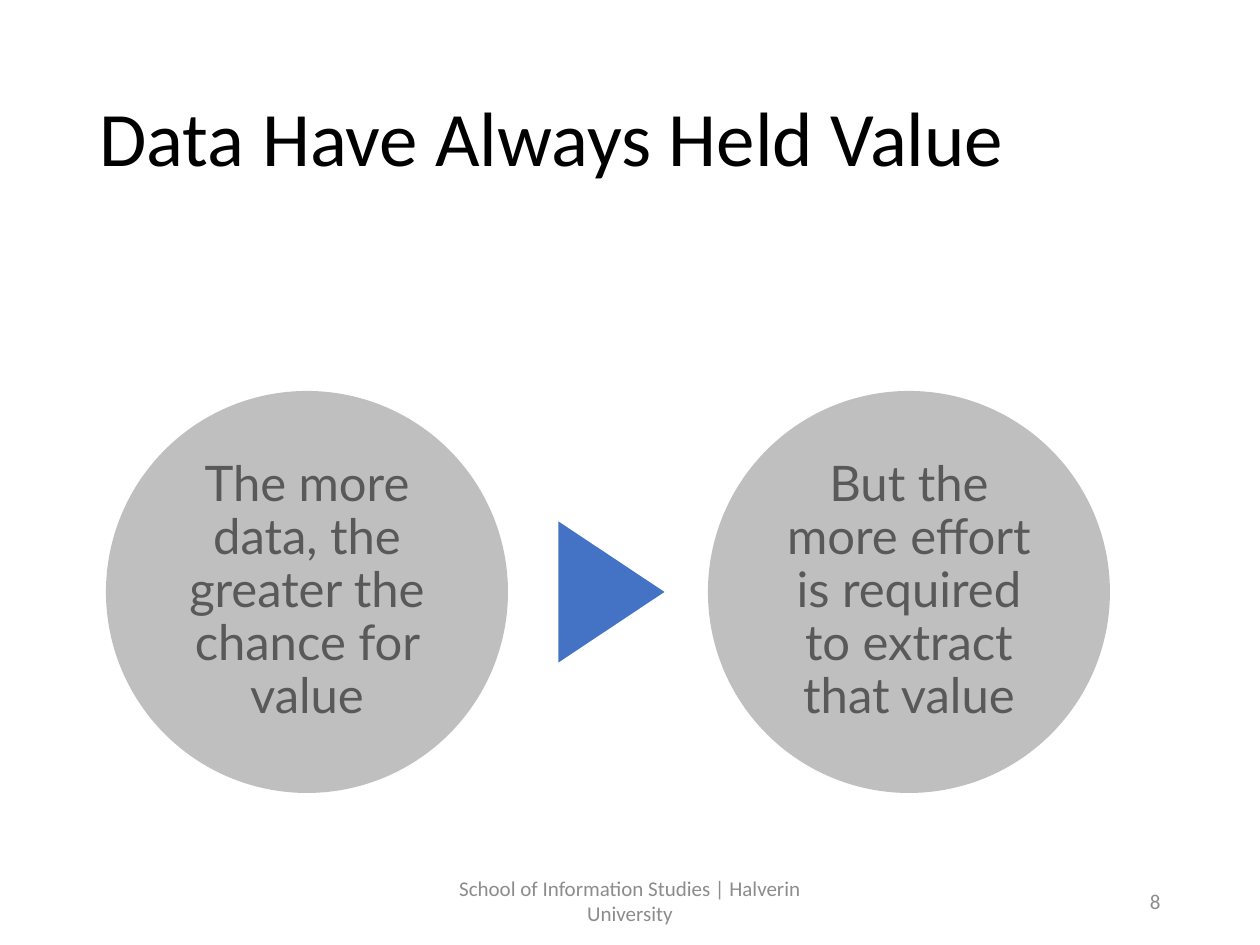
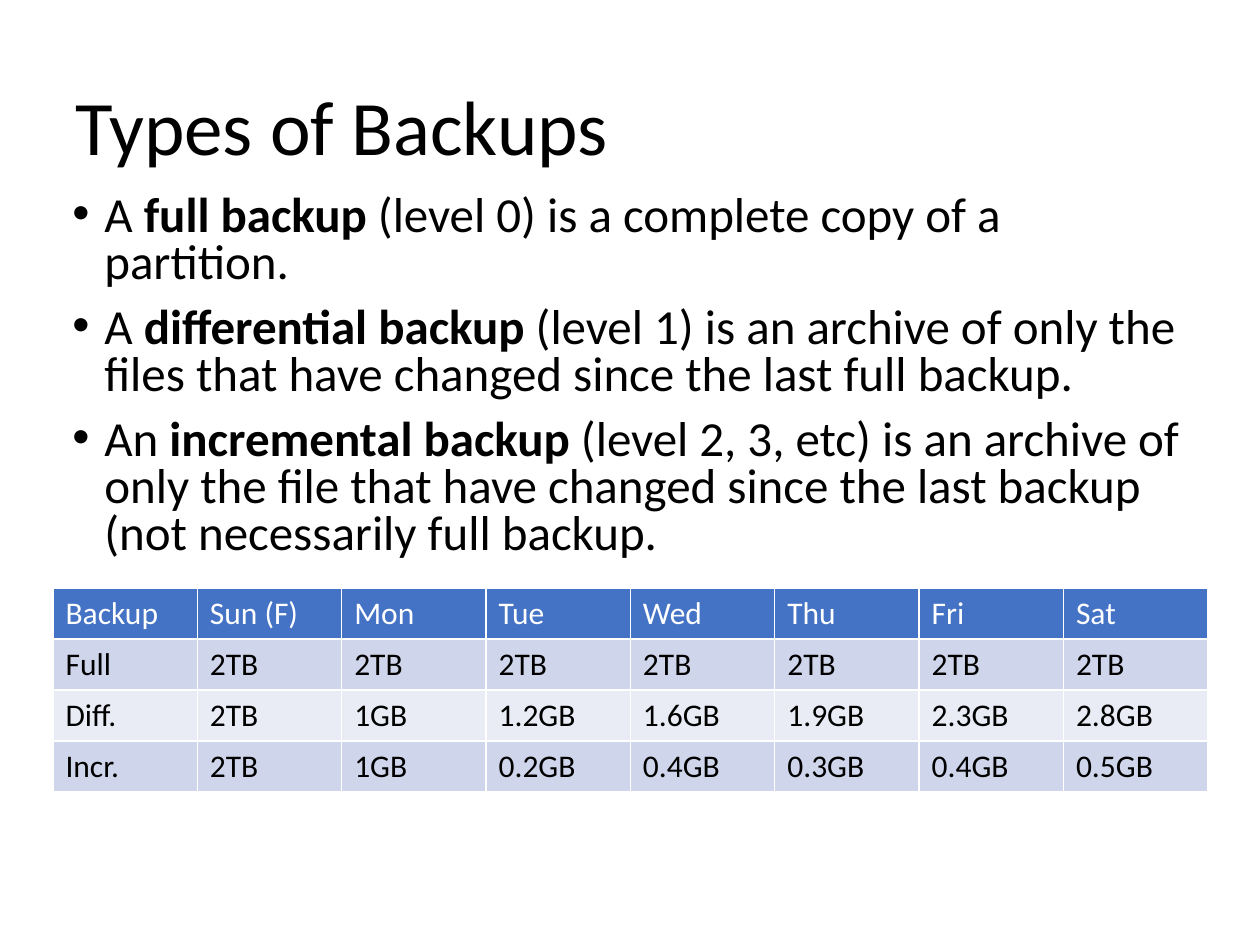
from pptx import Presentation
from pptx.dml.color import RGBColor
from pptx.enum.shapes import MSO_SHAPE
from pptx.enum.text import MSO_ANCHOR, PP_ALIGN
from pptx.oxml.ns import qn
from pptx.util import Pt
from lxml import etree

# Shared measures, colours and text formats
EMU_PER_PX = 914400 / 126
SLIDE_WIDTH, SLIDE_HEIGHT = 1260, 945
OVAL, TRIANGLE = MSO_SHAPE.OVAL, MSO_SHAPE.ISOSCELES_TRIANGLE
TOP, MIDDLE = MSO_ANCHOR.TOP, MSO_ANCHOR.MIDDLE
LEFT, CENTER, RIGHT = PP_ALIGN.LEFT, PP_ALIGN.CENTER, PP_ALIGN.RIGHT

BLACK, WHITE, BLUE = "000000", "FFFFFF", "4472C4"
CIRCLE_GREY, CIRCLE_TEXT, FOOTER_GREY = "BFBFBF", "595959", "8C8C8C"
BAND_COLORS = ["CFD5EA", "E9EBF5"]

TITLE = {"name": "Calibri", "size": Pt(44), "color": BLACK}
BODY = {"name": "Calibri", "size": Pt(28), "color": BLACK}
CIRCLE = {"name": "Lato", "size": Pt(28), "color": CIRCLE_TEXT}
FOOTER = {"name": "Calibri", "size": Pt(12), "color": FOOTER_GREY}
TABLE_HEAD = {"name": "Calibri", "size": Pt(18), "color": WHITE, "bold": False}
TABLE_BODY = {**TABLE_HEAD, "color": BLACK}

# Slide content
CIRCLE_TEXTS = [
    "The more data, the greater the chance for value",
    "But the more effort is required to extract that value",
]
BACKUP_TYPES = [
    ("A ", "full backup", " (level 0) is a complete copy of a partition."),
    ("A ", "differential backup", " (level 1) is an archive of only the files "
     "that have changed since the last full backup."),
    ("An ", "incremental backup", " (level 2, 3, etc) is an archive of only the "
     "file that have changed since the last backup (not necessarily full backup."),
]
BACKUP_SIZES = [
    ["Backup", "Sun (F)", "Mon", "Tue", "Wed", "Thu", "Fri", "Sat"],
    ["Full"] + ["2TB"] * 7,
    ["Diff.", "2TB", "1GB", "1.2GB", "1.6GB", "1.9GB", "2.3GB", "2.8GB"],
    ["Incr.", "2TB", "1GB", "0.2GB", "0.4GB", "0.3GB", "0.4GB", "0.5GB"],
]


def px(length):
    return round(length * EMU_PER_PX)


def rgb(hex_color):
    return RGBColor.from_string(hex_color)


# Text
def add_span(para, text, text_format, **changes):
    span = para.add_run()
    span.text = text
    for name, value in {**text_format, **changes}.items():
        if name == "color":
            span.font.color.rgb = rgb(value)
        else:
            setattr(span.font, name, value)


def set_frame(frame, anchor, inset=None):
    frame.word_wrap = True
    frame.vertical_anchor = anchor
    if inset is not None:
        for side in ("left", "top", "right", "bottom"):
            setattr(frame, f"margin_{side}", px(inset))


def fill_para(para, text, text_format, align=LEFT, spacing=1.0):
    para.alignment = align
    para.line_spacing = spacing
    add_span(para, text, text_format)


def add_box(page, area, anchor=MIDDLE):
    box = page.shapes.add_textbox(*map(px, area))
    set_frame(box.text_frame, anchor)
    return box.text_frame


def add_text(page, area, text, text_format, align=LEFT, spacing=1.0):
    frame = add_box(page, area)
    fill_para(frame.paragraphs[0], text, text_format, align, spacing)


def add_title(page, area, text):
    add_text(page, area, text, TITLE, spacing=0.9)


def add_footer(page, text, number):
    add_text(page, (417, 876, 426, 50), text, FOOTER, CENTER)
    add_text(page, (890, 876, 283, 50), number, FOOTER, RIGHT)


def add_bullets(page, area, items):
    frame = add_box(page, area, TOP)
    for index, (article, term, meaning) in enumerate(items):
        para = frame.add_paragraph() if index else frame.paragraphs[0]
        para.line_spacing = 0.8
        para.space_before = Pt(10)
        add_span(para, article, BODY)
        add_span(para, term, BODY, bold=True)
        add_span(para, meaning, BODY)
        # Hanging bullet
        props = para._p.get_or_add_pPr()
        props.set("marL", str(px(32)))
        props.set("indent", str(-px(32)))
        etree.SubElement(props, qn("a:buFont"), typeface="Arial")
        etree.SubElement(props, qn("a:buChar"), char="•")


# Shapes
def add_plain_shape(page, kind, area, fill):
    shape = page.shapes.add_shape(kind, *map(px, area))
    shape.shadow.inherit = False
    shape.fill.solid()
    shape.fill.fore_color.rgb = rgb(fill)
    shape.line.fill.background()
    return shape


def add_circle(page, left, top, size, text):
    circle = add_plain_shape(page, OVAL, (left, top, size, size), CIRCLE_GREY)
    set_frame(circle.text_frame, MIDDLE, inset=5)
    fill_para(circle.text_frame.paragraphs[0], text, CIRCLE, CENTER, 0.9)


# Table
def set_borders(cell, color, width):
    props = cell._tc.get_or_add_tcPr()
    for index, side in enumerate(("lnL", "lnR", "lnT", "lnB")):
        border = etree.Element(qn(f"a:{side}"), w=str(width))
        solid = etree.SubElement(border, qn("a:solidFill"))
        etree.SubElement(solid, qn("a:srgbClr"), val=color)
        props.insert(index, border)


def add_grid(page, left, top, width, row_height, rows):
    columns = len(rows[0])
    area = (left, top, width, row_height * len(rows))
    table = page.shapes.add_table(len(rows), columns, *map(px, area)).table
    for column in table.columns:
        column.width = px(width / columns)
    for row_index, values in enumerate(rows):
        table.rows[row_index].height = px(row_height)
        is_head = row_index == 0
        fill = BLUE if is_head else BAND_COLORS[(row_index - 1) % 2]
        for column_index, value in enumerate(values):
            cell = table.cell(row_index, column_index)
            cell.fill.solid()
            cell.fill.fore_color.rgb = rgb(fill)
            set_borders(cell, WHITE, Pt(1))
            fill_para(cell.text_frame.paragraphs[0], value,
                      TABLE_HEAD if is_head else TABLE_BODY)


# Slides
def build_value_slide(page):
    add_title(page, (87, 50, 1086, 183), "Data Have Always Held Value")
    for index, text in enumerate(CIRCLE_TEXTS):
        add_circle(page, 106 + index * 602, 391, 402, text)
    arrow = add_plain_shape(page, TRIANGLE, (541, 539, 141, 106), BLUE)
    arrow.rotation = 90
    add_footer(page, "School of Information Studies | Halverin University", "8")


def build_backup_slide(page):
    add_title(page, (63, 73, 1134, 116), "Types of Backups")
    add_bullets(page, (60, 189, 1134, 388), BACKUP_TYPES)
    add_grid(page, 53, 588, 1155, 51, BACKUP_SIZES)


def main():
    deck = Presentation()
    deck.slide_width, deck.slide_height = px(SLIDE_WIDTH), px(SLIDE_HEIGHT)
    blank = deck.slide_layouts[6]
    for build in (build_value_slide, build_backup_slide):
        build(deck.slides.add_slide(blank))
    deck.save("out.pptx")


if __name__ == "__main__":
    main()
